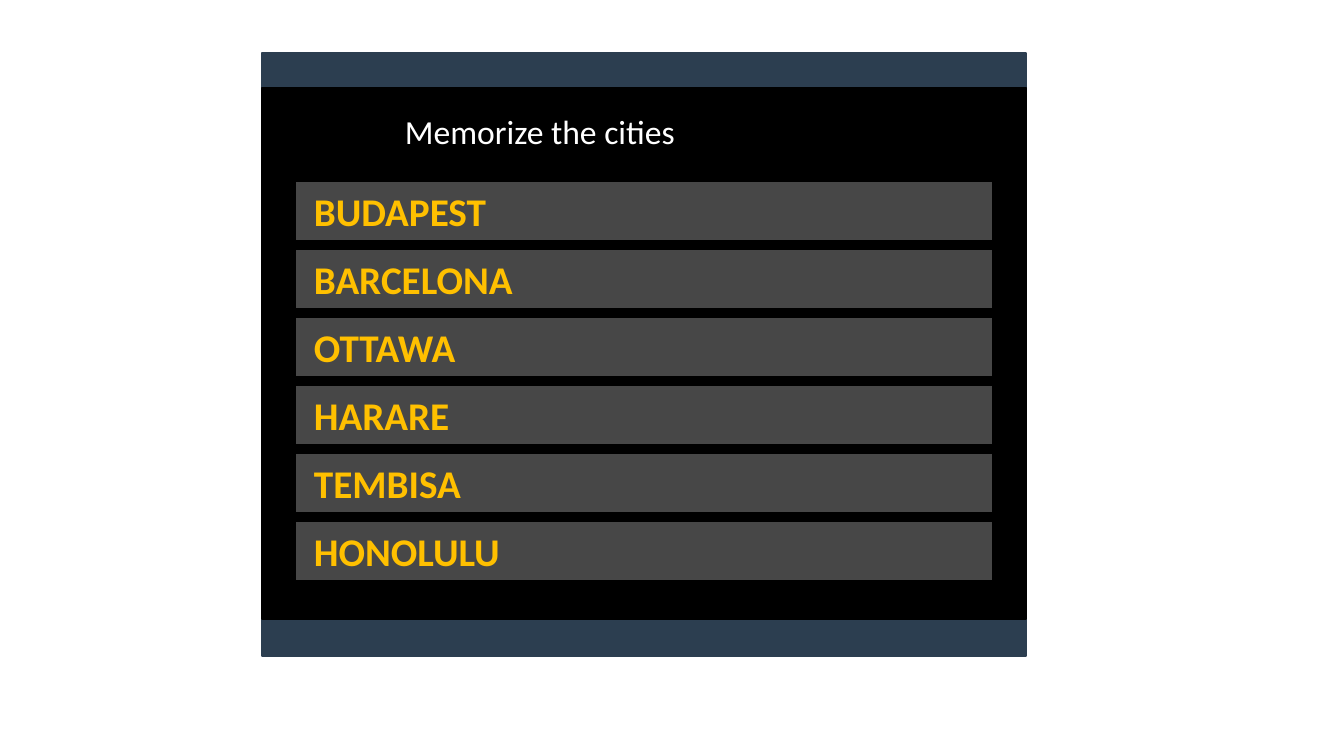
import pptx
import pptx.util
import pptx.dml.color
import pptx.enum.shapes
import pptx.enum.text

RGBColor = pptx.dml.color.RGBColor
NAVY = RGBColor(0x2C, 0x3E, 0x50)
BLACK = RGBColor(0x00, 0x00, 0x00)
GRAY = RGBColor(0x47, 0x47, 0x47)
WHITE = RGBColor(0xFF, 0xFF, 0xFF)
GOLD = RGBColor(0xFF, 0xC0, 0x00)

EMU_PER_PX = 914400 / 100.8
TITLE_FORMAT = {"name": "Calibri", "size": pptx.util.Pt(24), "bold": False}
CITY_FORMAT = {"name": "Calibri", "size": pptx.util.Pt(28), "bold": True}
CITIES = ["BUDAPEST", "BARCELONA", "OTTAWA", "HARARE", "TEMBISA", "HONOLULU"]


def px(length):
    """Turn a length in px into EMU."""
    return pptx.util.Emu(round(length * EMU_PER_PX))


def add_box(slide, box, fill, line):
    """Add a filled rectangle with a thin outline."""
    shape = slide.shapes.add_shape(
        pptx.enum.shapes.MSO_SHAPE.RECTANGLE, *map(px, box))
    shape.shadow.inherit = False
    shape.fill.solid()
    shape.fill.fore_color.rgb = fill
    shape.line.color.rgb = line
    shape.line.width = pptx.util.Pt(1)
    return shape


def write_text(shape, text, font_format, color, inset):
    """Write one left-aligned line, centred vertically in the shape."""
    frame = shape.text_frame
    frame.word_wrap = True
    frame.vertical_anchor = pptx.enum.text.MSO_ANCHOR.MIDDLE
    frame.margin_left = px(inset)
    paragraph = frame.paragraphs[0]
    paragraph.alignment = pptx.enum.text.PP_ALIGN.LEFT
    run = paragraph.add_run()
    run.text = text
    for name, value in font_format.items():
        setattr(run.font, name, value)
    run.font.color.rgb = color


def add_panel(slide, box):
    """Add the navy panel with its black screen and return the screen box."""
    left, top, width, height = box
    screen = (left, top + 35, width, height - 72)
    add_box(slide, box, NAVY, NAVY)
    add_box(slide, screen, BLACK, BLACK)
    return screen


def add_title(slide, box, text):
    """Add the heading along the top right of the screen box."""
    left, top, width, height = box
    shape = add_box(slide, (left + 133, top, width - 133, 86), BLACK, BLACK)
    write_text(shape, text, TITLE_FORMAT, WHITE, 10)


def add_city_list(slide, box, cities):
    """Stack one bar per city inside the screen box."""
    left, top, width, height = box
    for index, city in enumerate(cities):
        bar = (left + 33, top + 93 + 68 * index, width - 66, 60)
        shape = add_box(slide, bar, GRAY, BLACK)
        write_text(shape, city, CITY_FORMAT, GOLD, 19)


def main():
    """Build the slide and save it."""
    presentation = pptx.Presentation()
    presentation.slide_width = px(1344)
    presentation.slide_height = px(756)
    slide = presentation.slides.add_slide(presentation.slide_layouts[6])
    screen = add_panel(slide, (262, 53, 764, 603))
    add_title(slide, screen, "Memorize the cities")
    add_city_list(slide, screen, CITIES)
    presentation.save("out.pptx")


if __name__ == "__main__":
    main()
